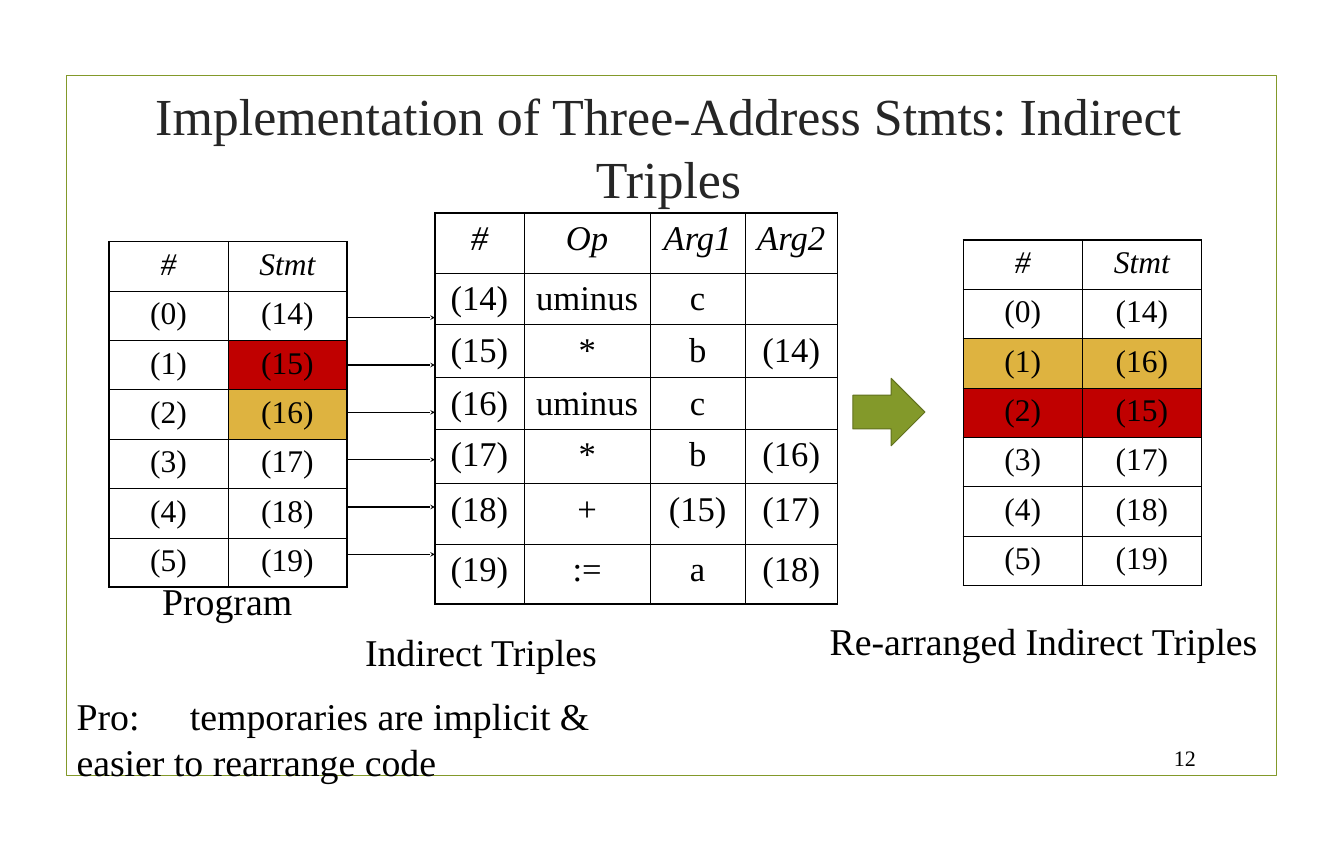
from dataclasses import dataclass, field

from lxml.etree import SubElement as Sub
from pptx import Presentation
from pptx.dml.color import RGBColor
from pptx.enum.shapes import MSO_CONNECTOR as Link, MSO_SHAPE as Kind
from pptx.enum.text import MSO_ANCHOR as Anchor, PP_ALIGN as Align
from pptx.oxml.ns import qn
from pptx.slide import Slide
from pptx.util import Cm, Pt

FONT = "Times New Roman"
BLACK = RGBColor(0x00, 0x00, 0x00)
GREY = RGBColor(0x26, 0x26, 0x26)
GREEN = RGBColor(0x83, 0x99, 0x2A)
OLIVE = RGBColor(0x61, 0x71, 0x1F)
RED = RGBColor(0xC0, 0x00, 0x00)
GOLD = RGBColor(0xDE, 0xB3, 0x40)
THICK, THIN = Pt(2.25), Pt(1)


@dataclass
class Label:
    text: str
    left: float
    top: float
    width: float
    height: float = 2.31
    size: int = 48
    color: RGBColor = BLACK
    align: Align = Align.LEFT
    anchor: Anchor = Anchor.TOP
    wrap: bool = True
    tab: float = 0


@dataclass
class Grid:
    left: float
    top: float
    cols: list[float]
    rows: list[float]
    cells: list[tuple[str, ...]]
    size: int
    pad: float
    fills: dict[tuple[int, int], RGBColor] = field(default_factory=dict)


def style(para, size: int, color: RGBColor, align: Align, italic: bool = False) -> None:
    para.alignment = align
    for run in para.runs:
        font = run.font
        font.name, font.size, font.italic = FONT, Pt(size), italic
        font.color.rgb = color


def add_label(slide: Slide, item: Label) -> None:
    box = slide.shapes.add_textbox(
        Cm(item.left), Cm(item.top), Cm(item.width), Cm(item.height))
    frame = box.text_frame
    frame.word_wrap = item.wrap
    frame.vertical_anchor = item.anchor
    frame.text = item.text
    para = frame.paragraphs[0]
    if item.tab:
        stops = Sub(para._p.get_or_add_pPr(), qn("a:tabLst"))
        Sub(stops, qn("a:tab"), pos=str(Cm(item.tab)), algn="l")
    style(para, item.size, item.color, item.align)


def add_edge(cell, side: str, width: int) -> None:
    props = cell._tc.get_or_add_tcPr()
    line = Sub(props, qn(f"a:ln{side}"), w=str(width))
    Sub(Sub(line, qn("a:solidFill")), qn("a:srgbClr"), val=str(BLACK))


def add_grid(slide: Slide, grid: Grid) -> None:
    last_row, last_col = len(grid.rows) - 1, len(grid.cols) - 1
    table = slide.shapes.add_table(
        len(grid.rows), len(grid.cols), Cm(grid.left), Cm(grid.top),
        Cm(sum(grid.cols)), Cm(sum(grid.rows))).table
    table.first_row = table.horz_banding = False
    for col, width in zip(table.columns, grid.cols):
        col.width = Cm(width)
    for row, height in zip(table.rows, grid.rows):
        row.height = Cm(height)
    for r, texts in enumerate(grid.cells):
        for c, text in enumerate(texts):
            cell = table.cell(r, c)
            cell.margin_left = cell.margin_right = Cm(0.51)
            cell.margin_top = cell.margin_bottom = Cm(grid.pad)
            # Thick outer edges, thin inner ones
            outer = {"L": c == 0, "R": c == last_col,
                     "T": r == 0, "B": r == last_row}
            for side, thick in outer.items():
                add_edge(cell, side, THICK if thick else THIN)
            if (r, c) in grid.fills:
                cell.fill.solid()
                cell.fill.fore_color.rgb = grid.fills[r, c]
            else:
                cell.fill.background()
            if text:
                cell.text_frame.text = text
                style(cell.text_frame.paragraphs[0], grid.size, BLACK,
                      Align.CENTER, italic=r == 0)


def add_shape(slide: Slide, kind: Kind, box: tuple[float, ...],
              line: RGBColor, fill: RGBColor | None = None) -> None:
    shape = slide.shapes.add_shape(kind, *map(Cm, box))
    shape.shadow.inherit = False
    shape.line.color.rgb = line
    shape.line.width = Pt(1.25)
    if fill is None:
        shape.fill.background()
    else:
        shape.fill.solid()
        shape.fill.fore_color.rgb = fill


def add_arrow(slide: Slide, left: float, right: float, y: float) -> None:
    link = slide.shapes.add_connector(
        Link.STRAIGHT, Cm(left), Cm(y), Cm(right), Cm(y))
    link.line.color.rgb = BLACK
    link.line.width = Pt(2)
    Sub(link.line._get_or_add_ln(), qn("a:tailEnd"), type="stealth")
    Sub(link._element.spPr, qn("a:effectLst"))


def order(stmts: list[int]) -> list[tuple[str, ...]]:
    return [("#", "Stmt")] + [(f"({i})", f"({n})") for i, n in enumerate(stmts)]


TRIPLES = [
    ("#", "Op", "Arg1", "Arg2"),
    ("(14)", "uminus", "c", ""),
    ("(15)", "*", "b", "(14)"),
    ("(16)", "uminus", "c", ""),
    ("(17)", "*", "b", "(16)"),
    ("(18)", "+", "(15)", "(17)"),
    ("(19)", ":=", "a", "(18)"),
]
PAIR, SEVEN = [5.33] * 2, [2.21] * 7
GRIDS = [
    Grid(19.48, 9.53, [3.99, 5.66, 4.24, 4.14],
         [2.69, 2.21, 2.36, 2.13, 2.44, 2.69, 2.69], TRIPLES, 44, 0.3),
    Grid(4.88, 10.82, PAIR, SEVEN, order([14, 15, 16, 17, 18, 19]), 40, 0.25,
         {(2, 1): RED, (3, 1): GOLD}),
    Grid(43.15, 10.74, PAIR, SEVEN, order([14, 16, 15, 17, 18, 19]), 40, 0.25,
         {(2, 0): GOLD, (2, 1): GOLD, (3, 0): RED, (3, 1): RED}),
]
LABELS = [
    Label("12", 51.13, 33.17, 2.69, 1.55, 28, align=Align.RIGHT,
          anchor=Anchor.MIDDLE),
    Label("Implementation of Three-Address Stmts: Indirect Triples",
          3.18, 5.46, 53.54, 2.16, 66, GREY, Align.CENTER, Anchor.MIDDLE),
    Label("Pro:\ttemporaries are implicit & easier to rearrange code",
          3.18, 30.91, 25.86, 4.37, tab=5.08),
    Label("Program", 7.01, 25.76, 6.4, wrap=False),
    Label("Indirect Triples", 16.1, 28.04, 11, wrap=False),
    Label("Re-arranged Indirect Triples", 36.91, 27.51, 19.81),
]


def main() -> None:
    deck = Presentation()
    deck.slide_width, deck.slide_height = Cm(60.2), Cm(38.1)
    slide = deck.slides.add_slide(deck.slide_layouts[6])

    # Frame
    add_shape(slide, Kind.RECTANGLE, (3, 3.38, 54.18, 31.32), GREEN)
    # Tables and text
    for grid in GRIDS:
        add_grid(slide, grid)
    for item in LABELS:
        add_label(slide, item)
    # Pointers from the program to its triples
    for i in range(6):
        add_arrow(slide, 15.54, 19.48, 14.22 + 2.12 * i)
    # Step to the new order
    add_shape(slide, Kind.RIGHT_ARROW, (38.2, 16.94, 3.23, 3.02), OLIVE, GREEN)

    deck.save("out.pptx")


if __name__ == "__main__":
    main()
